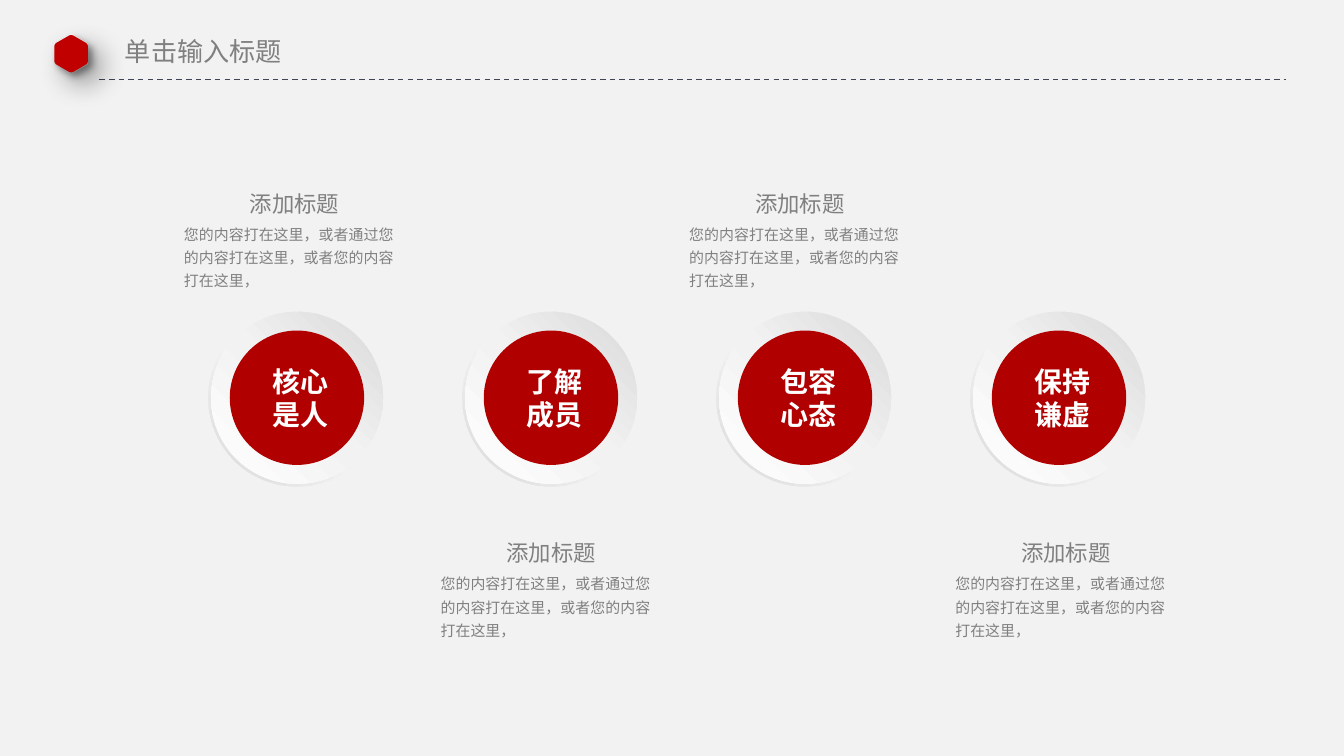
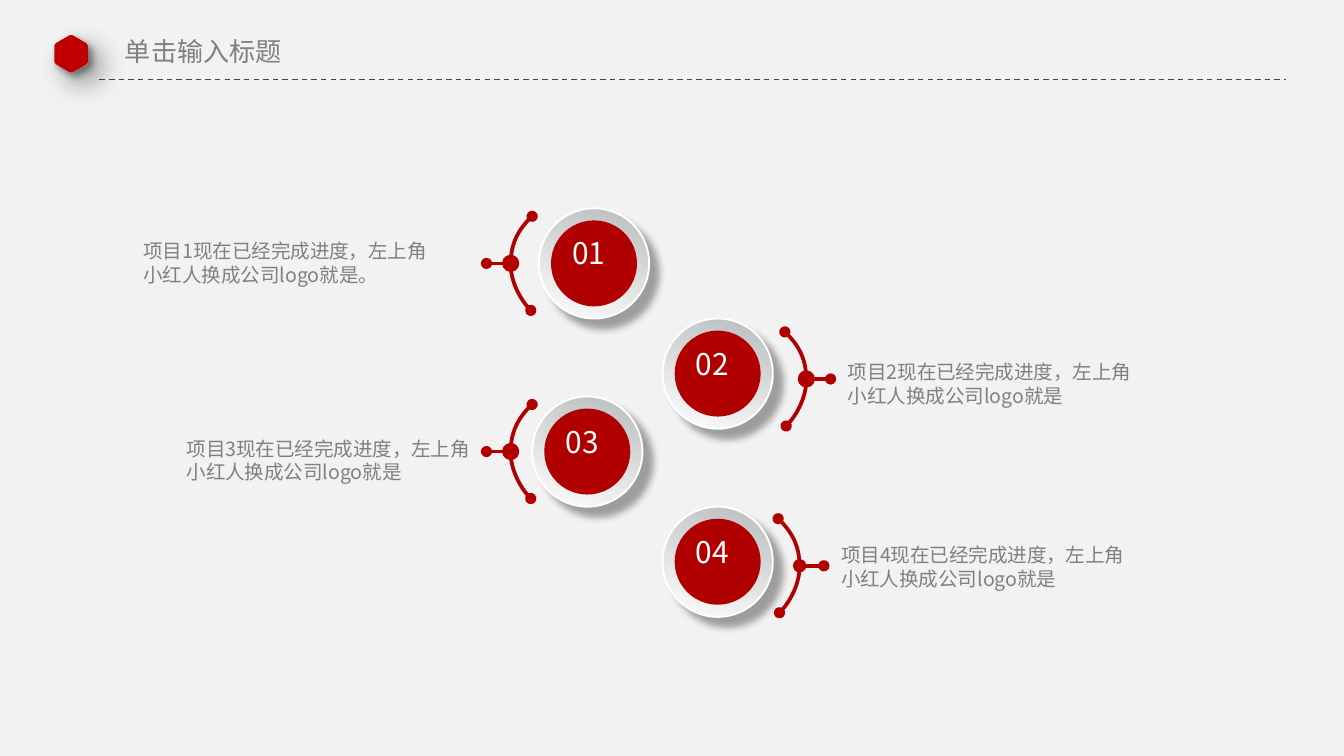
from lxml.etree import SubElement
from pptx import Presentation
from pptx.dml.color import RGBColor
from pptx.enum.dml import MSO_LINE
from pptx.enum.shapes import MSO_CONNECTOR, MSO_SHAPE
from pptx.enum.text import MSO_ANCHOR, MSO_AUTO_SIZE, PP_ALIGN
from pptx.oxml.ns import qn
from pptx.util import Inches, Pt

FONT = "Noto Sans CJK SC"
RED, GREY, PALE, WHITE = "B00000", "808080", "F2F2F2", "FFFFFF"
rgb = RGBColor.from_string

deck = Presentation()
deck.slide_width, deck.slide_height = Inches(10), Inches(5.625)
unit = deck.slide_width // 100


def draw(shape, fill=None, edge=None, size=1, shade=None, ends=()):
    if isinstance(fill, str):
        shape.fill.solid()
        shape.fill.fore_color.rgb = rgb(fill)
    elif fill:
        angle, stops = fill
        shape.fill.gradient()
        shape.fill.gradient_angle = 360 - angle
        ramp = shape.element.spPr.find(qn("a:gradFill")).find(qn("a:gsLst"))
        ramp.clear()
        for share, hue in stops:
            stop = SubElement(ramp, qn("a:gs"), pos=str(share * 1000))
            SubElement(stop, qn("a:srgbClr"), val=hue)
    elif hasattr(shape, "fill"):
        shape.fill.background()
    if edge:
        shape.line.color.rgb = rgb(edge)
        shape.line.width = Pt(size)
    else:
        shape.line.fill.background()
    for end in ends:
        SubElement(shape.element.spPr.find(qn("a:ln")), qn(end), type="oval")
    glow = SubElement(shape.element.spPr, qn("a:effectLst"))
    if shade:
        alpha, blur, dist = shade
        cast = SubElement(glow, qn("a:outerShdw"), blurRad=str(Pt(blur)),
                          dist=str(Pt(dist)), dir=str(45 * 60000),
                          algn="tl", rotWithShape="0")
        tint = SubElement(cast, qn("a:srgbClr"), val="000000")
        SubElement(tint, qn("a:alpha"), val=str(alpha * 1000))


def write(shape, box, words, size, hue=GREY, bold=False, wrap=True,
          space=None, pad=0.5, grow=True, anchor=MSO_ANCHOR.TOP):
    shape.left, shape.top, shape.width, shape.height = [int(n * unit) for n in box]
    frame = shape.text_frame
    frame.text = words
    frame.word_wrap = wrap
    frame.vertical_anchor = anchor
    frame.margin_top = frame.margin_bottom = int(pad * unit)
    frame.auto_size = MSO_AUTO_SIZE.SHAPE_TO_FIT_TEXT if grow else MSO_AUTO_SIZE.NONE
    for para in frame.paragraphs:
        para.alignment = PP_ALIGN.LEFT
        if space:
            para.line_spacing = space
        for run in para.runs:
            font = run.font
            font.name, font.size, font.bold = FONT, Pt(size), bold
            font.color.rgb = rgb(hue)
            SubElement(run._r.get_or_add_rPr(), qn("a:ea"), typeface=FONT)


deck.slide_master.background.fill.solid()
deck.slide_master.background.fill.fore_color.rgb = rgb(PALE)
pages = [deck.slides.add_slide(deck.slide_layouts[5]) for n in range(2)]

badges = [
    (1.5, (270, [(0, "D3D3D3"), (100, "F9F9F9")]), (40, 15, 9)),
    (1.44, "C00000", (40, 4, 3)),
]
for page in pages:
    rule = page.shapes.add_connector(
        MSO_CONNECTOR.STRAIGHT, *[int(n * unit) for n in (7.4, 5.9, 95.7, 5.9)])
    rule.line.dash_style = MSO_LINE.DASH
    draw(rule, edge="414455", size=0.75)
    for reach, fill, shade in badges:
        tips = [5.3 + 4j + reach * 1j * (1j ** (2 / 3)) ** k for k in range(6)]
        dots = []
        for k, tip in enumerate(tips):
            start = tip + (tips[k - 1] - tip) * 0.14
            stop = tip + (tips[(k + 1) % 6] - tip) * 0.14
            for t in (0, 0.25, 0.5, 0.75, 1):
                dots.append((1 - t) ** 2 * start + 2 * t * (1 - t) * tip + t * t * stop)
        dots = [(dot.real * unit, dot.imag * unit) for dot in dots]
        pen = page.shapes.build_freeform(*dots[0])
        pen.add_line_segments(dots[1:], close=True)
        draw(pen.convert_to_shape(), fill, shade=shade)
    write(page.shapes.title, (8.3, 2.1, 13.8, 3.4), "单击输入标题", 14, wrap=False)

page = pages[0]
body = "您的内容打在这里，或者通过您的内容打在这里，或者您的内容打在这里，"
rim = (135, [(0, PALE), (55, PALE), (100, "D9D9D9")])
dish = (315, [(0, WHITE), (51, PALE), (100, "D9D9D9")])
steps = [("核心\n是人", 12.7), ("了解\n成员", 31.8),
         ("包容\n心态", 50.3), ("保持\n谦虚", 70.1)]
for n, (name, left) in enumerate(steps):
    top = 15.9 + 26 * (n % 2)
    write(page.shapes.add_textbox(0, 0, 0, 0), (left, top, 18.3, 6.3), body, 8, space=1.3)
    write(page.shapes.add_textbox(0, 0, 0, 0), (left + 4.9, top - 2.75, 11, 2.7),
          "添加标题", 12, space=1.5, pad=0)
    mid = 22.1 + 18.9 * n
    for kind, size, fill in [(MSO_SHAPE.DONUT, 13.2, rim),
                             (MSO_SHAPE.OVAL, 12.8, dish),
                             (MSO_SHAPE.OVAL, 10, RED)]:
        disc = page.shapes.add_shape(
            kind, *[int(v * unit) for v in (mid - size / 2, 29.6 - size / 2, size, size)])
        if kind == MSO_SHAPE.DONUT:
            disc.adjustments[0] = 0.05
        draw(disc, fill)
    write(page.shapes.add_textbox(0, 0, 0, 0), (mid - 2.8, 26.6, 7.5, 6.1),
          name, 15, WHITE, bold=True)

page = pages[1]
bend = [0, 1.3 + 1.2j, 1.6 + 2.4j, 1.6 + 3.6j, 1.6 + 4.7j, 1 + 6.1j, 0.1 + 7j]
curve = []
for a, b, c, d in (bend[:4], bend[3:]):
    for k in range(13):
        t = k / 12
        curve.append((1 - t) ** 3 * a + 3 * t * (1 - t) ** 2 * b
                     + 3 * t * t * (1 - t) * c + t ** 3 * d)
metal = (110, [(0, "B8BBBC"), (100, WHITE)])
items = [
    (-1, (39.6, 16.1), (40.1, 15.5), (9.7, 17.8, 36.4, 3.5), "。", 2),
    (1, (58.4, 24.7), (49.3, 23.7), (62.1, 25, 35.1, 7.1), "", 2),
    (-1, (39.6, 30.1), (39.6, 29.5), (12.9, 32.5, 30.7, 3.5), "", 2),
    (1, (57.9, 38.6), (49.3, 37.7), (61.6, 40.4, 26.2, 3.5), "", 0),
]
for n, (side, (x, y), (left, top), box, end, size) in enumerate(items, 1):
    dots = [((x + side * p.real) * unit, (y + p.imag) * unit) for p in curve]
    pen = page.shapes.build_freeform(*dots[0])
    pen.add_line_segments(dots[1:], close=False)
    draw(pen.convert_to_shape(), edge=RED, size=2, ends=("a:headEnd", "a:tailEnd"))
    hub, mid = x + side * 1.6, y + 3.5
    stem = page.shapes.add_connector(
        MSO_CONNECTOR.STRAIGHT, *[int(v * unit) for v in (hub, mid, hub + side * 1.8, mid)])
    draw(stem, edge=RED, size=2, ends=("a:tailEnd",))
    knob = page.shapes.add_shape(
        MSO_SHAPE.OVAL, *[int(v * unit) for v in (hub - 0.5, mid - 0.5, 1, 1)])
    draw(knob, RED, RED if size else None, size)
    write(page.shapes.add_textbox(0, 0, 0, 0), box,
          f"项目{n}现在已经完成进度，左上角\n小红人换成公司logo就是{end}",
          10.5, wrap=False, grow=False, anchor=MSO_ANCHOR.MIDDLE)
    ring = page.shapes.add_shape(
        MSO_SHAPE.OVAL, *[int(v * unit) for v in (left, top, 8.2, 8.2)])
    draw(ring, metal, WHITE, 1, shade=(34, 4, 7))
    core = page.shapes.add_shape(
        MSO_SHAPE.OVAL, *[int(v * unit) for v in (left + 0.9, top + 0.9, 6.4, 6.4)])
    draw(core, RED)
    write(page.shapes.add_textbox(0, 0, 0, 0), (left + 1.5, top + 1.5, 4.8, 3.7),
          f"{n:02d}", 16, WHITE, wrap=False)

deck.save("out.pptx")
